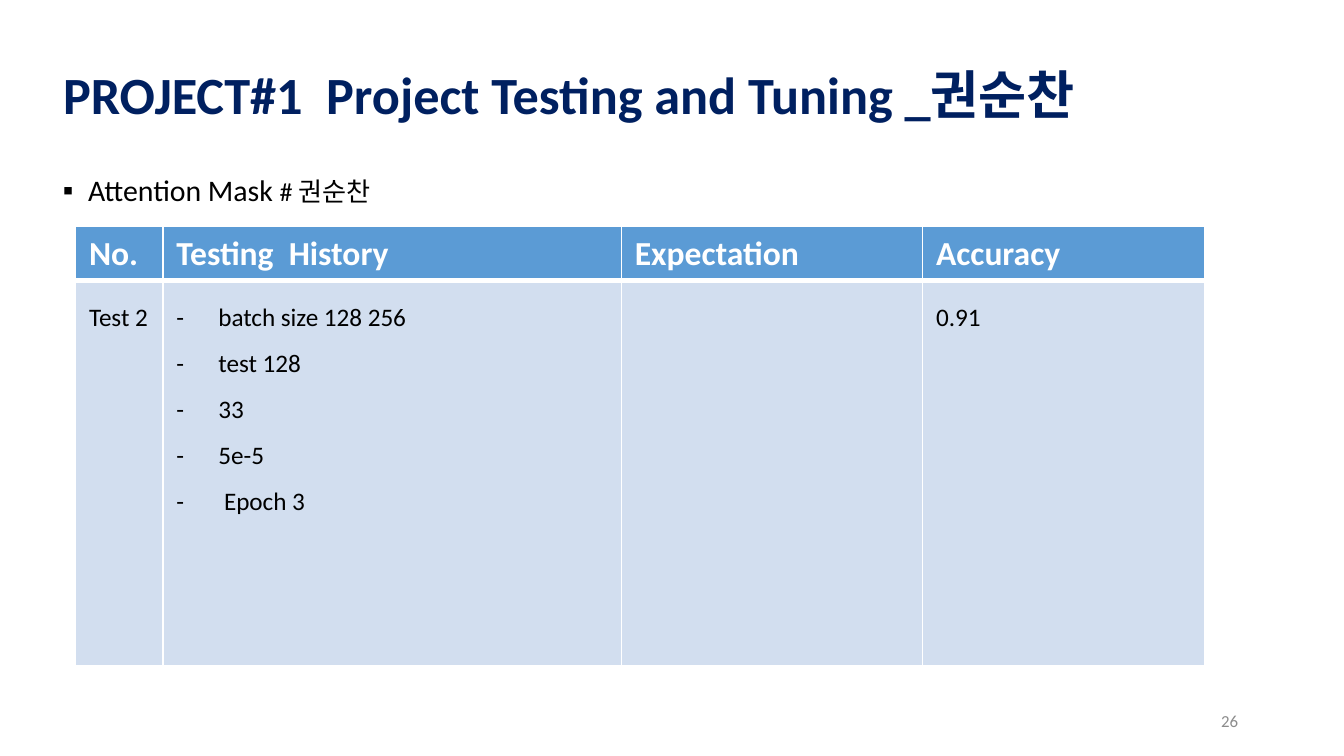
from lxml.etree import SubElement
from pptx import Presentation
from pptx.dml.color import RGBColor
from pptx.enum.text import MSO_ANCHOR, PP_ALIGN
from pptx.oxml import parse_xml
from pptx.oxml.ns import nsdecls, qn
from pptx.util import Pt

TITLE = "PROJECT#1  Project Testing and Tuning _권순찬"
TOPIC = [("Attention Mask ", 16), ("# 권순찬", 14)]
PAGE_NUMBER = "26"
HEADERS = ["No.", "Testing  History", "Expectation", "Accuracy"]
TEST_NAME = "Test 2"
# Setting and the hanging indent that precedes it
SETTINGS = [
    ("batch size 128 256", 22.5),
    ("test 128", 22.5),
    ("33", 22.5),
    ("5e-5", 22.5),
    ("Epoch 3", 25.5),
]
ACCURACY = "0.91"

FONT = "Calibri"
COLORS = {
    "white": "FFFFFF",
    "black": "000000",
    "navy": "002060",
    "gray": "8C8C8C",
    "header": "5B9BD5",
    "body": "D2DEEF",
}
COLUMN_WIDTHS = [46.8, 245.6, 161.4, 151.2]
ROW_HEIGHTS = [28, 206.7]
THIN, THICK = 1, 3


def rgb(name):
    return RGBColor.from_string(COLORS[name])


def add_run(paragraph, text, size, color, bold=False):
    run = paragraph.add_run()
    run.text = text
    run.font.name = FONT
    run.font.size = Pt(size)
    run.font.bold = bold
    run.font.color.rgb = rgb(color)


def add_bullet(paragraph, char, indent, font):
    properties = paragraph._p.get_or_add_pPr()
    properties.set("marL", str(Pt(indent)))
    properties.set("indent", str(-Pt(indent)))
    SubElement(properties, qn("a:buFont"), typeface=font)
    SubElement(properties, qn("a:buChar"), char=char)


def add_text_box(slide, left, top, width, height):
    frame = slide.shapes.add_textbox(Pt(left), Pt(top), Pt(width), Pt(height)).text_frame
    frame.word_wrap = True
    return frame


def style_cell(cell, fill, top, bottom):
    """Fill a cell and give it white borders, with the top and bottom widths given."""
    cell.fill.solid()
    cell.fill.fore_color.rgb = rgb(fill)
    properties = cell._tc.get_or_add_tcPr()
    sides = [("lnL", THIN), ("lnR", THIN), ("lnT", top), ("lnB", bottom)]
    for position, (side, width) in enumerate(sides):
        properties.insert(position, parse_xml(
            f'<a:{side} {nsdecls("a")} w="{Pt(width)}"><a:solidFill>'
            f'<a:srgbClr val="{COLORS["white"]}"/></a:solidFill></a:{side}>'))


def add_title(slide):
    title = slide.shapes.title
    title.left, title.top, title.width, title.height = Pt(26.6), Pt(20.2), Pt(633), Pt(59.8)
    title.fill.solid()
    title.fill.fore_color.rgb = rgb("white")
    title.text_frame.vertical_anchor = MSO_ANCHOR.MIDDLE
    paragraph = title.text_frame.paragraphs[0]
    paragraph.alignment = PP_ALIGN.LEFT
    add_run(paragraph, TITLE, 28, "navy", bold=True)


def add_topic(slide):
    paragraph = add_text_box(slide, 26.6, 90.7, 555.8, 274.3).paragraphs[0]
    paragraph.line_spacing = 0.9
    add_bullet(paragraph, "▪", 13.5, "Arial")
    for text, size in TOPIC:
        add_run(paragraph, text, size, "black")


def add_page_number(slide):
    frame = add_text_box(slide, 508.3, 375.1, 162, 21.6)
    frame.vertical_anchor = MSO_ANCHOR.MIDDLE
    frame.paragraphs[0].alignment = PP_ALIGN.RIGHT
    add_run(frame.paragraphs[0], PAGE_NUMBER, 9, "gray")


def add_test_table(slide):
    table = slide.shapes.add_table(
        len(ROW_HEIGHTS), len(HEADERS), Pt(40.5), Pt(121.3),
        Pt(sum(COLUMN_WIDTHS)), Pt(sum(ROW_HEIGHTS))).table
    for column, width in zip(table.columns, COLUMN_WIDTHS):
        column.width = Pt(width)
    for row, height in zip(table.rows, ROW_HEIGHTS):
        row.height = Pt(height)

    for column, header in enumerate(HEADERS):
        header_cell = table.cell(0, column)
        style_cell(header_cell, "header", THIN, THICK)
        style_cell(table.cell(1, column), "body", THICK, THIN)
        add_run(header_cell.text_frame.paragraphs[0], header, 18, "white", bold=True)

    for column, text in [(0, TEST_NAME), (3, ACCURACY)]:
        paragraph = table.cell(1, column).text_frame.paragraphs[0]
        paragraph.line_spacing = 1.5
        add_run(paragraph, text, 13.5, "black")

    history = table.cell(1, 1).text_frame
    for index, (setting, indent) in enumerate(SETTINGS):
        paragraph = history.add_paragraph() if index else history.paragraphs[0]
        paragraph.alignment = PP_ALIGN.JUSTIFY
        paragraph.line_spacing = 1.5
        add_bullet(paragraph, "-", indent, FONT)
        add_run(paragraph, setting, 13.5, "black")


def main():
    presentation = Presentation()
    presentation.slide_width, presentation.slide_height = Pt(720), Pt(405)
    slide = presentation.slides.add_slide(presentation.slide_layouts[5])
    add_title(slide)
    add_topic(slide)
    add_page_number(slide)
    add_test_table(slide)
    presentation.save("out.pptx")


if __name__ == "__main__":
    main()
